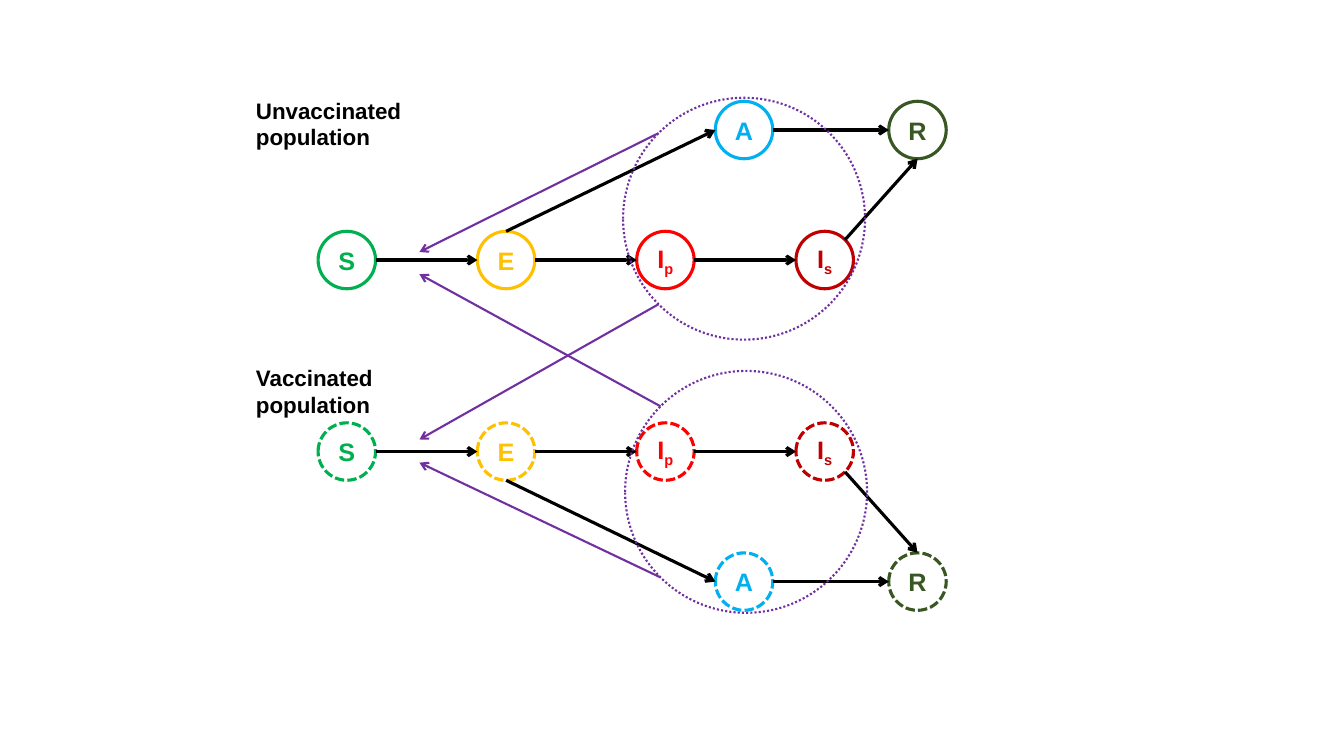
from math import cos, radians, sin

from lxml.etree import SubElement
from pptx import Presentation
from pptx.dml.color import RGBColor
from pptx.enum.dml import MSO_LINE
from pptx.enum.shapes import MSO_CONNECTOR, MSO_SHAPE
from pptx.enum.text import MSO_ANCHOR, PP_ALIGN
from pptx.oxml.ns import qn
from pptx.util import Inches, Pt

# Compartment: letter, subscript, colour, centre x, on the side branch?
COMPARTMENTS = {
    "S": ("S", "", "00B050", 3.44, False),
    "E": ("E", "", "FFC000", 5.02, False),
    "Ip": ("I", "p", "FF0000", 6.6, False),
    "Is": ("I", "s", "C00000", 8.18, False),
    "A": ("A", "", "00B0F0", 7.38, True),
    "R": ("R", "", "385723", 9.1, True),
}

# Flow: from, angle on its rim, to, angle on its rim (0 right, 90 outward)
FLOWS = [
    ("S", 0, "E", 180),
    ("E", 0, "Ip", 180),
    ("Ip", 0, "Is", 180),
    ("E", 90, "A", 180),
    ("A", 0, "R", 180),
    ("Is", 45, "R", 270),
]

# outward: -1 puts the side branch above the main row, 1 below it.
# infects: y of the arrow tips from the ring's outer and inner side
POPULATIONS = [
    dict(label="Unvaccinated population", label_box=(2.44, 0.91, 2.8, 0.64),
         main_y=2.58, outward=-1, dash=None, ring=(7.38, 2.17), infects=(2.5, 4.36)),
    dict(label="Vaccinated population", label_box=(2.44, 3.56, 2.39, 0.64),
         main_y=4.48, outward=1, dash=MSO_LINE.SQUARE_DOT, ring=(7.4, 4.88),
         infects=(4.59, 2.72)),
]

THEME = dict(font="Arial", ink="000000", force="7030A0", node_pt=18, label_pt=16,
             flow_line=2.25, force_line=1.5)
NODE_R, RING_R = 0.285, 1.2
BRANCH_GAP = 1.29
INFECTION_X = 4.16


def rim(centre, radius, angle, outward):
    """Point on a circle, with 90 degrees pointing outward from the main row."""
    a = radians(angle)
    return centre[0] + radius * cos(a), centre[1] + outward * radius * sin(a)


def set_line(line, color, width, dash=None):
    line.color.rgb = RGBColor.from_string(color)
    line.width = Pt(width)
    if dash is not None:
        line.dash_style = dash


def add_circle(slide, centre, radius, color, width, dash=None):
    x, y = centre
    sp = slide.shapes.add_shape(MSO_SHAPE.OVAL, Inches(x - radius), Inches(y - radius),
                                Inches(2 * radius), Inches(2 * radius))
    sp.shadow.inherit = False
    sp.fill.background()
    set_line(sp.line, color, width, dash)
    return sp


def add_arrow(slide, start, end, color, width):
    cx = slide.shapes.add_connector(MSO_CONNECTOR.STRAIGHT,
                                    *(Inches(v) for v in (*start, *end)))
    set_line(cx.line, color, width)
    SubElement(cx.line._get_or_add_ln(), qn("a:tailEnd"), type="arrow")
    SubElement(cx._element.spPr, qn("a:effectLst"))


def add_run(p, text, size, color):
    r = p.add_run()
    r.text = text
    r.font.name = THEME["font"]
    r.font.size = Pt(size)
    r.font.bold = True
    r.font.color.rgb = RGBColor.from_string(color)
    return r


def add_compartment(slide, centre, letter, subscript, color, dash):
    tf = add_circle(slide, centre, NODE_R, color, THEME["flow_line"], dash).text_frame
    tf.margin_left = tf.margin_right = tf.margin_top = tf.margin_bottom = 0
    tf.vertical_anchor = MSO_ANCHOR.MIDDLE
    p = tf.paragraphs[0]
    p.alignment = PP_ALIGN.CENTER
    add_run(p, letter, THEME["node_pt"], color)
    if subscript:
        r = add_run(p, subscript, THEME["node_pt"], color)
        r.font._element.set("baseline", "-25000")


def add_population(slide, pop):
    out = pop["outward"]
    centres = {}
    for key, (letter, subscript, color, x, branch) in COMPARTMENTS.items():
        centres[key] = (x, pop["main_y"] + out * BRANCH_GAP * branch)
        add_compartment(slide, centres[key], letter, subscript, color, pop["dash"])

    for src, src_angle, dst, dst_angle in FLOWS:
        add_arrow(slide, rim(centres[src], NODE_R, src_angle, out),
                  rim(centres[dst], NODE_R, dst_angle, out),
                  THEME["ink"], THEME["flow_line"])

    add_circle(slide, pop["ring"], RING_R, THEME["force"], THEME["force_line"],
               MSO_LINE.ROUND_DOT)
    for angle, tip_y in zip((135, 225), pop["infects"]):
        add_arrow(slide, rim(pop["ring"], RING_R, angle, out), (INFECTION_X, tip_y),
                  THEME["force"], THEME["force_line"])

    tf = slide.shapes.add_textbox(*(Inches(v) for v in pop["label_box"])).text_frame
    tf.word_wrap = True
    add_run(tf.paragraphs[0], pop["label"], THEME["label_pt"], THEME["ink"])


def main():
    prs = Presentation()
    prs.slide_width, prs.slide_height = Inches(13.33), Inches(7.5)
    slide = prs.slides.add_slide(prs.slide_layouts[6])
    for pop in POPULATIONS:
        add_population(slide, pop)
    prs.save("out.pptx")


if __name__ == "__main__":
    main()
